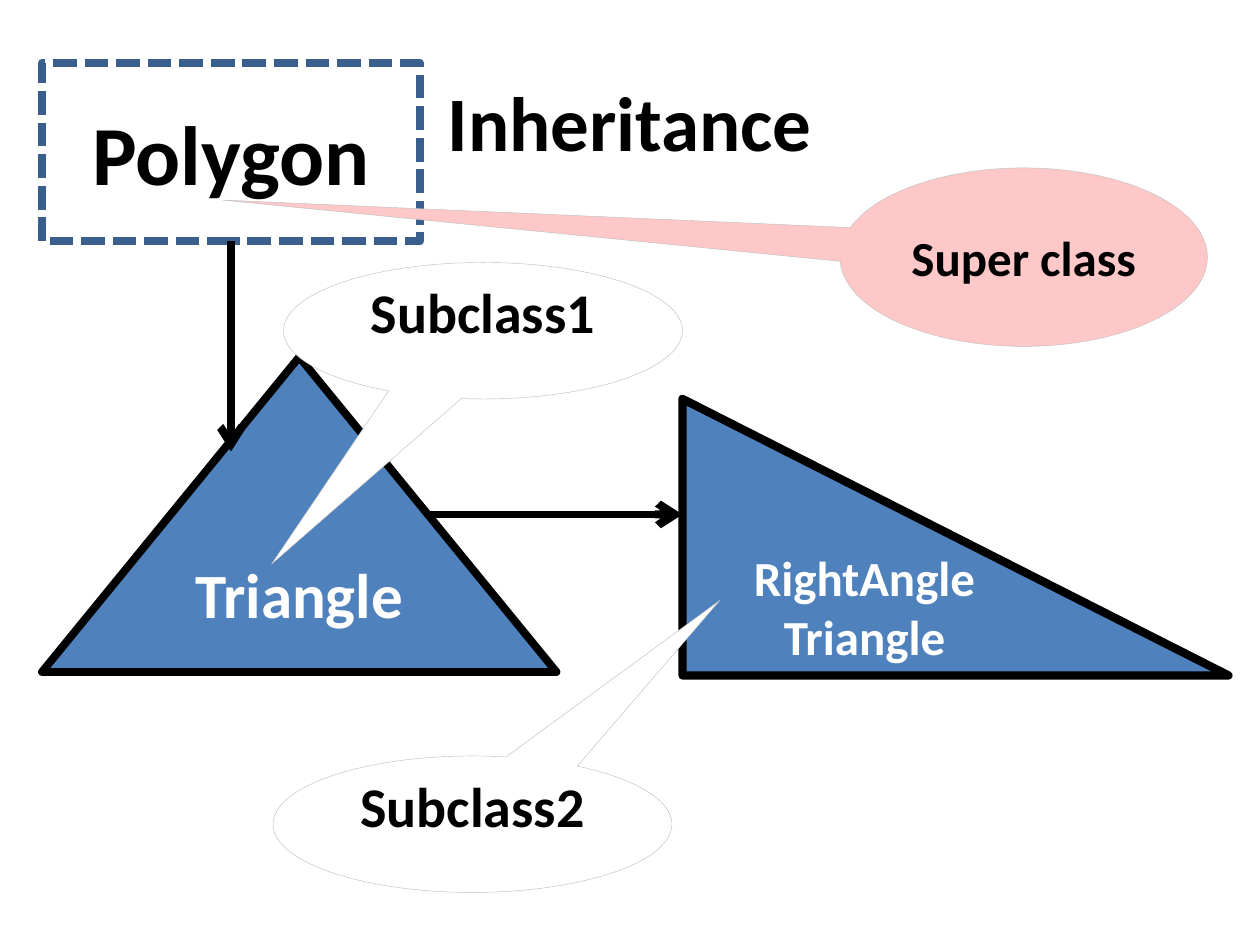
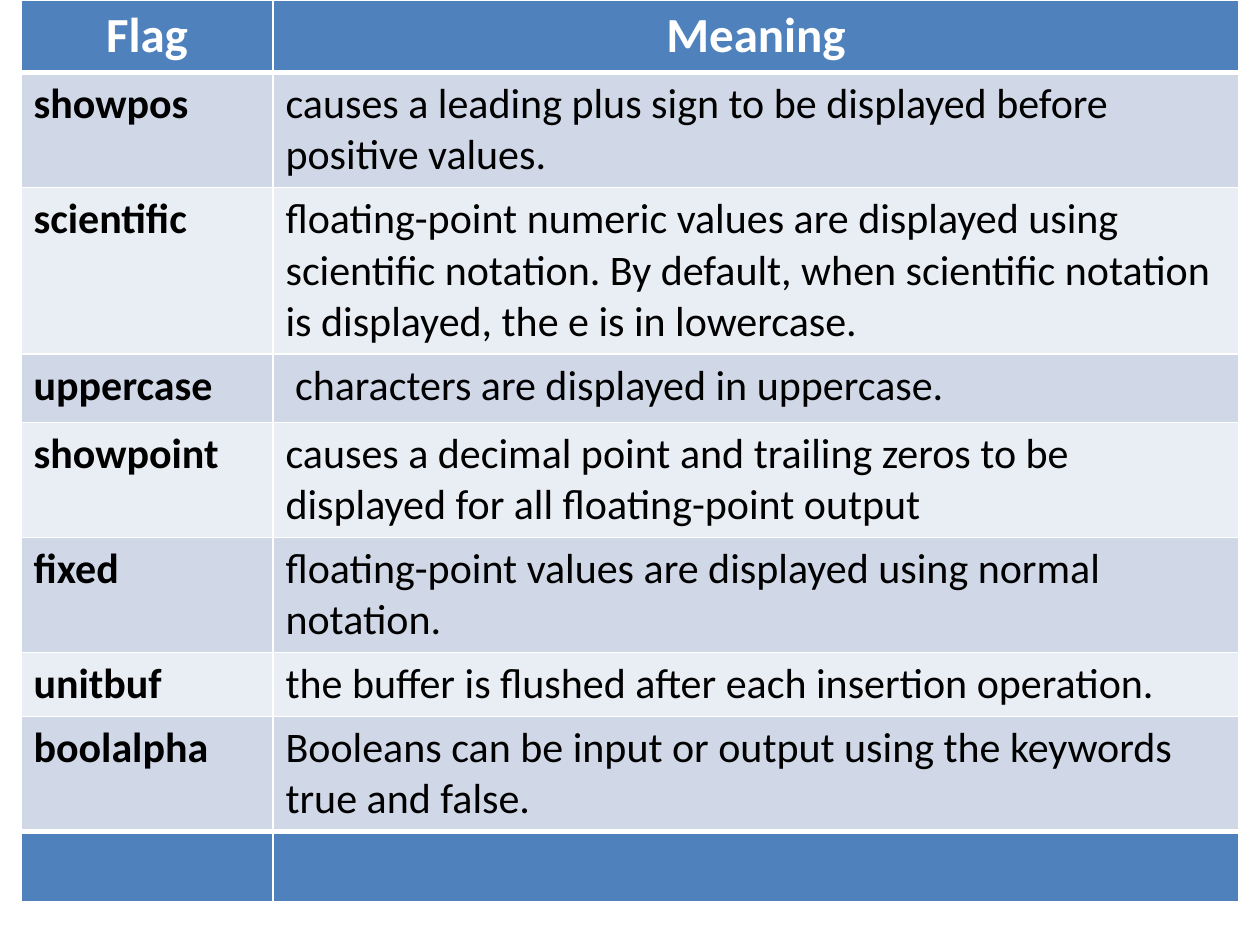
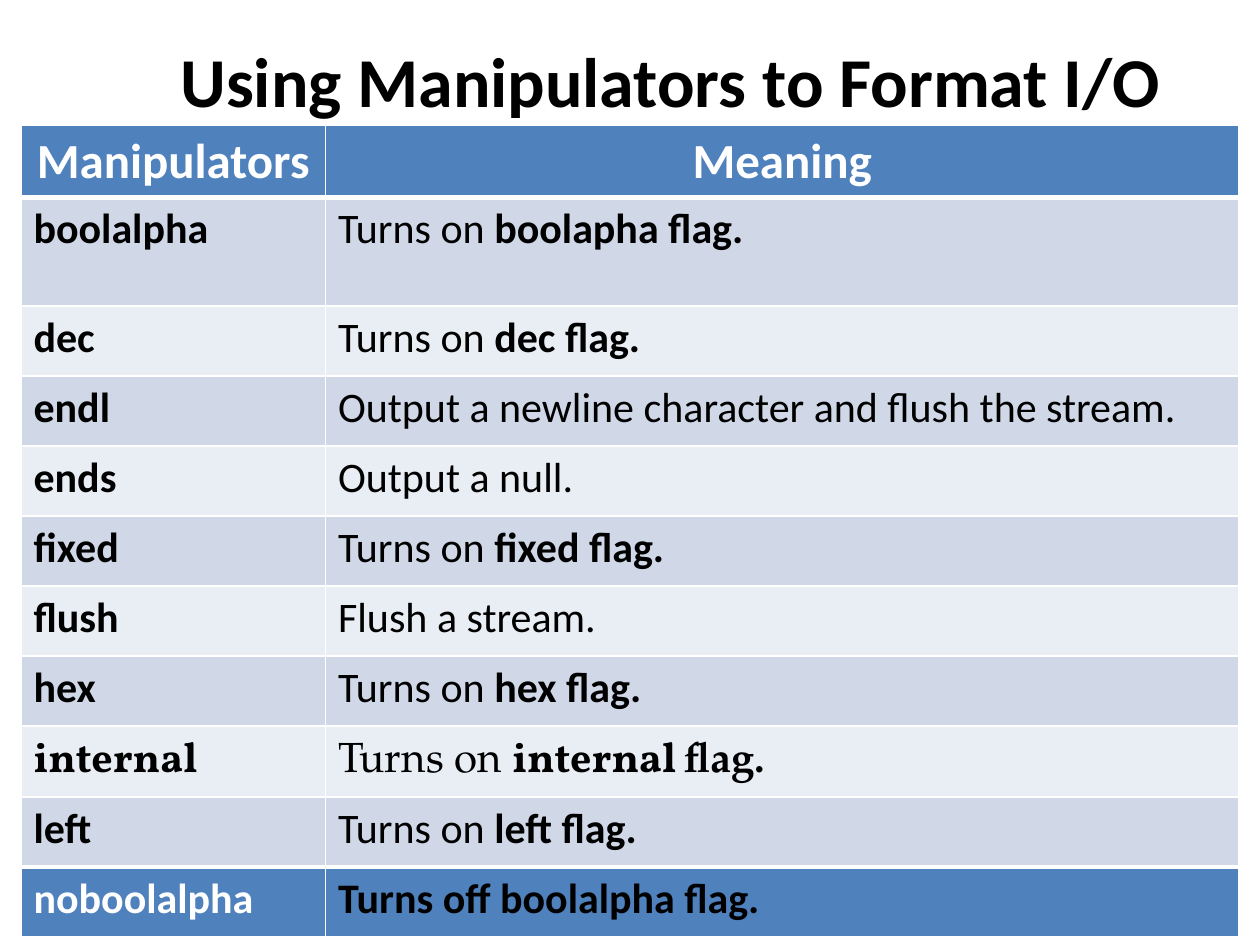
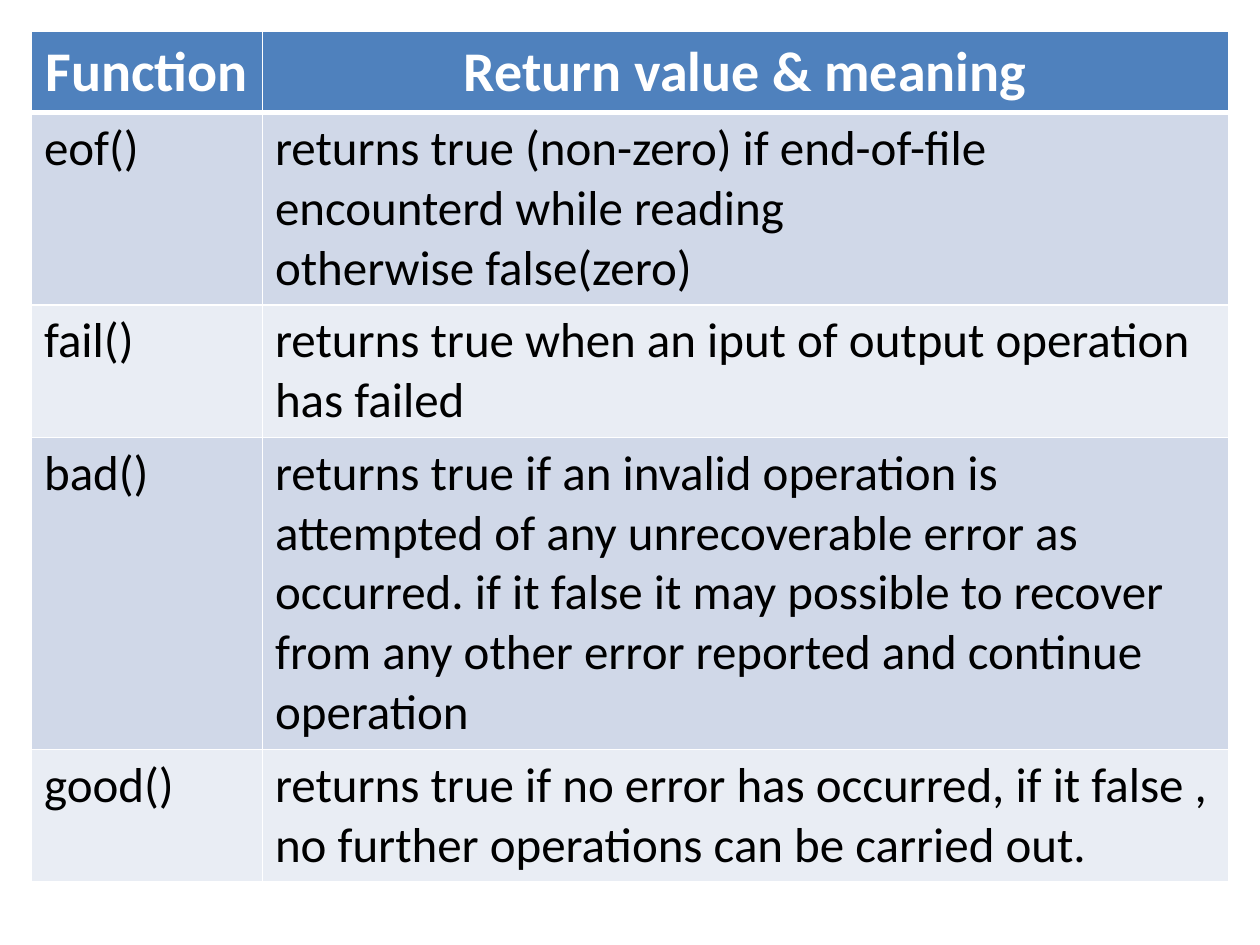
from lxml import etree
from pptx import Presentation
from pptx.dml.color import RGBColor
from pptx.enum.dml import MSO_LINE
from pptx.enum.shapes import MSO_CONNECTOR, MSO_SHAPE
from pptx.enum.text import MSO_ANCHOR, PP_ALIGN
from pptx.oxml.ns import qn
from pptx.util import Pt

FONT = "Calibri"
BLACK, WHITE = "000000", "FFFFFF"
BLUE, DARK_BLUE = "4F81BD", "3A5F8C"
PINK, HAIRLINE = "FFC8C8", "BFBFBF"
BANDS = ("D0D8E8", "E9EDF4")

FLAG_ROWS = [
    ("showpos", "causes a leading plus sign to be displayed before positive values."),
    ("scientific", "floating-point numeric values are displayed using scientific notation. "
                   "By default, when scientific notation is displayed, the e is in lowercase."),
    ("uppercase", " characters are displayed in uppercase."),
    ("showpoint", "causes a decimal point and trailing zeros to be displayed "
                  "for all floating-point output"),
    ("fixed", "floating-point values are displayed using normal notation."),
    ("unitbuf", "the buffer is flushed after each insertion operation."),
    ("boolalpha", "Booleans can be input or output using the keywords true and false."),
    ("", ""),
]

FUNCTION_ROWS = [
    ("eof()", "returns true (non-zero) if end-of-file encounterd while reading\n"
              "otherwise false(zero)"),
    ("fail()", "returns true when an iput of output operation has failed"),
    ("bad()", "returns true if an invalid operation is attempted of any unrecoverable error "
              "as occurred. if it false it may possible to recover from any other error "
              "reported and continue operation"),
    ("good()", "returns true if no error has occurred, if it false , "
               "no further operations can be carried out."),
]


def turns_on(flag):
    return [("Turns on ", {}), (f"{flag} flag.", {"bold": True})]


MANIPULATOR_ROWS = [
    ("boolalpha", turns_on("boolapha")),
    ("dec", turns_on("dec")),
    ("endl", "Output a newline character and flush the stream."),
    ("ends", "Output a null."),
    ("fixed", turns_on("fixed")),
    ("flush", "Flush a stream."),
    ("hex", turns_on("hex")),
    ([("internal", {"font": "Vollkorn"})],
     [("Turns on ", {"font": "TeX Gyre Pagella"}),
      ("internal ", {"font": "Vollkorn", "bold": True}),
      ("flag.", {"font": "TeX Gyre Pagella", "bold": True})]),
    ("left", turns_on("left")),
    ([("noboolalpha", {"color": WHITE})], [("Turns off boolalpha flag.", {"bold": True})]),
]


def rgb(value):
    return RGBColor.from_string(value)


def format_run(run, size=24, color=BLACK, bold=False, font=FONT):
    run.font.name = font
    run.font.size = Pt(size)
    run.font.bold = bold
    run.font.color.rgb = rgb(color)


def write_text(frame, text, align=PP_ALIGN.LEFT, **style):
    """Write a string, one paragraph a line, or a list of (text, overrides) runs."""
    if isinstance(text, str):
        lines = [[(line, {})] for line in text.split("\n")]
    else:
        lines = [text]
    for index, runs in enumerate(lines):
        paragraph = frame.add_paragraph() if index else frame.paragraphs[0]
        paragraph.alignment = align
        for content, overrides in runs:
            if content:
                run = paragraph.add_run()
                run.text = content
                format_run(run, **{**style, **overrides})


def add_text(slide, box, text, wrap=True, anchor=MSO_ANCHOR.TOP, **style):
    frame = slide.shapes.add_textbox(*map(Pt, box)).text_frame
    frame.word_wrap = wrap
    frame.vertical_anchor = anchor
    write_text(frame, text, bold=True, **style)


def add_figure(slide, kind, box, text, fill, line, line_width, **style):
    shape = slide.shapes.add_shape(kind, *map(Pt, box))
    shape.shadow.inherit = False
    shape.fill.solid()
    shape.fill.fore_color.rgb = rgb(fill)
    shape.line.color.rgb = rgb(line)
    shape.line.width = Pt(line_width)
    shape.text_frame.word_wrap = True
    shape.text_frame.vertical_anchor = MSO_ANCHOR.MIDDLE
    write_text(shape.text_frame, text, align=PP_ALIGN.CENTER, bold=True, **style)
    return shape


def add_callout(slide, box, text, pointer, fill=WHITE, size=32, lift=0):
    """Add an oval callout; lift raises its text by enlarging the bottom margin."""
    callout = add_figure(slide, MSO_SHAPE.OVAL_CALLOUT, box, text, fill, HAIRLINE, 0.25, size=size)
    callout.adjustments[0], callout.adjustments[1] = pointer
    callout.text_frame.margin_bottom = Pt(3.6 + lift)


def add_arrow(slide, start, end):
    arrow = slide.shapes.add_connector(MSO_CONNECTOR.STRAIGHT, *map(Pt, start + end))
    arrow.line.color.rgb = rgb(BLACK)
    arrow.line.width = Pt(4.5)
    etree.SubElement(arrow.line._get_or_add_ln(), qn("a:tailEnd"), type="arrow")
    etree.SubElement(arrow._element.spPr, qn("a:effectLst"))
    return arrow


def set_borders(cell, top, bottom):
    properties = cell._tc.get_or_add_tcPr()
    widths = {"a:lnL": 1, "a:lnR": 1, "a:lnT": top, "a:lnB": bottom}
    for index, (tag, width) in enumerate(widths.items()):
        border = etree.Element(qn(tag), w=str(Pt(width)))
        fill = etree.SubElement(border, qn("a:solidFill"))
        etree.SubElement(fill, qn("a:srgbClr"), val=WHITE)
        properties.insert(index, border)


def add_banded_table(slide, left, top, widths, heights, header, rows,
                     header_size=28, size=24, bold_names=True, footer=True):
    last = len(rows)
    table = slide.shapes.add_table(last + 1, len(widths), Pt(left), Pt(top),
                                   Pt(sum(widths)), Pt(sum(heights))).table
    table.horz_banding = False
    table.last_row = footer
    for column, width in zip(table.columns, widths):
        column.width = Pt(width)
    for row, height in zip(table.rows, heights):
        row.height = Pt(height)

    thick_edges = {1, last} if footer else {1}
    for r, texts in enumerate([header, *rows]):
        solid = r == 0 or (footer and r == last)
        for c, text in enumerate(texts):
            cell = table.cell(r, c)
            cell.fill.solid()
            cell.fill.fore_color.rgb = rgb(BLUE if solid else BANDS[(r - 1) % 2])
            set_borders(cell, 3 if r in thick_edges else 1, 3 if r + 1 in thick_edges else 1)
            if r == 0:
                write_text(cell.text_frame, text, align=PP_ALIGN.CENTER,
                           size=header_size, color=WHITE, bold=True)
            else:
                write_text(cell.text_frame, text, size=size, bold=bold_names and c == 0)


def inheritance_slide(slide):
    add_text(slide, (36, 24, 648, 90), "Inheritance", anchor=MSO_ANCHOR.MIDDLE,
             align=PP_ALIGN.CENTER, size=44)
    polygon = add_figure(slide, MSO_SHAPE.RECTANGLE, (24, 36, 216, 102), "Polygon",
                         WHITE, DARK_BLUE, 4.5, size=48)
    polygon.line.dash_style = MSO_LINE.SQUARE_DOT
    add_figure(slide, MSO_SHAPE.ISOSCELES_TRIANGLE, (24, 204, 294, 180), "Triangle",
               BLUE, BLACK, 4.5, size=36, color=WHITE)
    add_arrow(slide, (132, 138), (132, 258)).begin_connect(polygon, 2)
    add_callout(slide, (480, 96, 210, 102), "Super class", (-2.18, -0.32), fill=PINK, size=28)
    add_arrow(slide, (245, 294), (390, 294))
    add_figure(slide, MSO_SHAPE.RIGHT_TRIANGLE, (390, 228, 312, 158), "RightAngle\nTriangle",
               BLUE, BLACK, 4.75, size=28, color=WHITE)
    add_callout(slide, (162, 150, 228, 78), "Subclass1", (-0.53, 1.71), lift=22)
    add_callout(slide, (156, 432, 228, 78), "Subclass2", (0.62, -1.64), lift=22)


def flags_slide(slide):
    add_banded_table(slide, 12, 0, (144, 552), (40, 65, 95, 39, 65, 65, 36, 65, 40),
                     ("Flag", "Meaning"), FLAG_ROWS)


def manipulators_slide(slide):
    add_banded_table(slide, 12, 71.5, (174, 522), (40, 62, *[40] * 9),
                     ("Manipulators", "Meaning"), MANIPULATOR_ROWS)
    add_text(slide, (96, 18, 581, 55), "Using Manipulators to Format I/O", wrap=False, size=40)


def functions_slide(slide):
    add_banded_table(slide, 18, 18, (132, 552), (46, 109, 75, 178, 75),
                     ("Function", "Return value & meaning"), FUNCTION_ROWS,
                     header_size=32, size=28, bold_names=False, footer=False)


def main():
    presentation = Presentation()
    presentation.slide_width, presentation.slide_height = Pt(720), Pt(540)
    blank = presentation.slide_layouts[6]
    for build in (inheritance_slide, flags_slide, manipulators_slide, functions_slide):
        build(presentation.slides.add_slide(blank))
    presentation.save("out.pptx")


if __name__ == "__main__":
    main()
